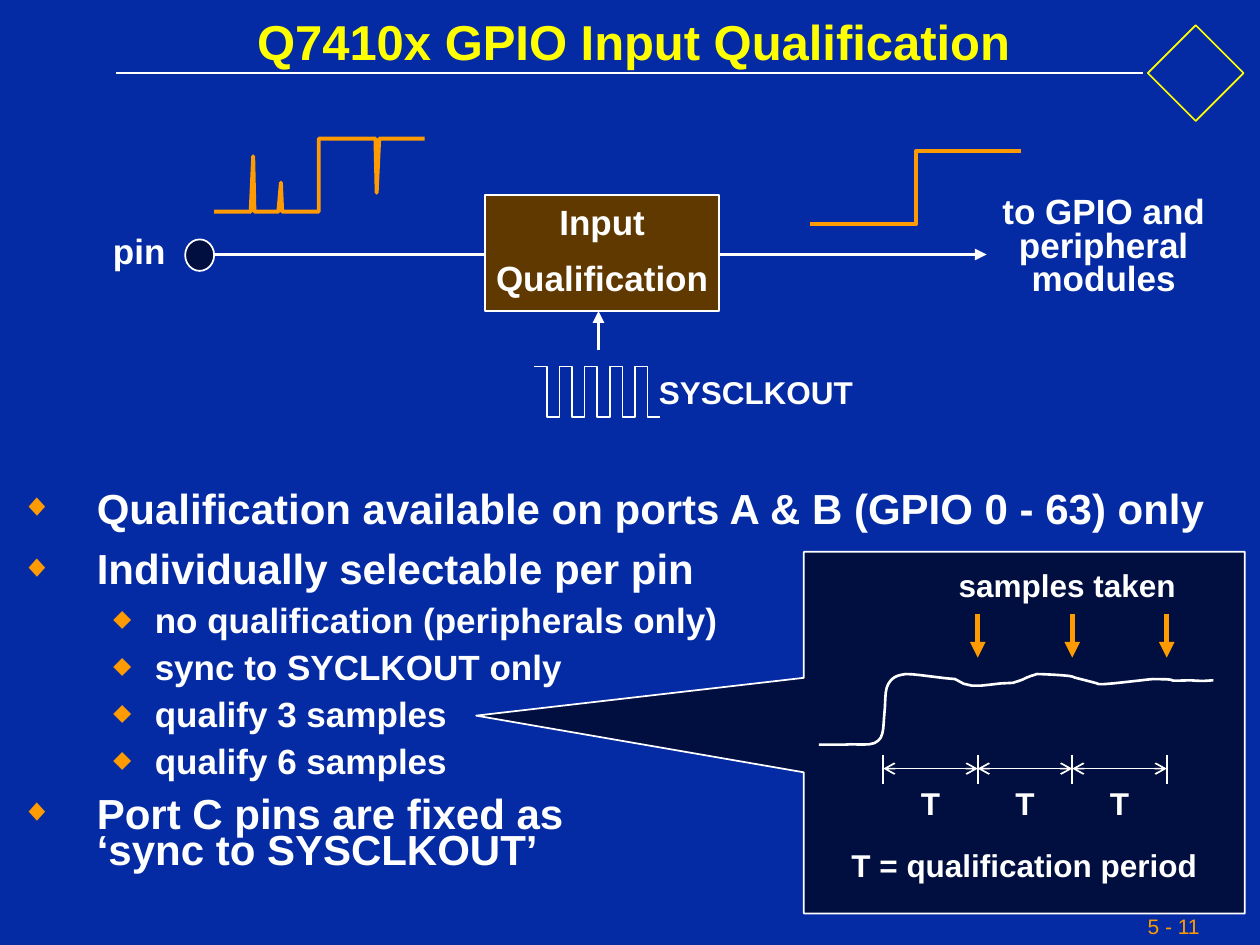
from lxml import etree
from pptx import Presentation
from pptx.dml.color import RGBColor
from pptx.enum.shapes import MSO_CONNECTOR, MSO_SHAPE
from pptx.enum.text import MSO_ANCHOR, MSO_AUTO_SIZE, PP_ALIGN
from pptx.oxml.ns import qn
from pptx.util import Inches, Pt

STRAIGHT = MSO_CONNECTOR.STRAIGHT
RECTANGLE, OVAL, DIAMOND = MSO_SHAPE.RECTANGLE, MSO_SHAPE.OVAL, MSO_SHAPE.DIAMOND
TOP, MIDDLE = MSO_ANCHOR.TOP, MSO_ANCHOR.MIDDLE
LEFT, CENTER = PP_ALIGN.LEFT, PP_ALIGN.CENTER
NO_AUTOSIZE = MSO_AUTO_SIZE.NONE

COLORS = {"background": "042AA4", "white": "FFFFFF", "yellow": "FFFF00",
          "orange": "FE9B03", "navy": "000F40", "brown": "603900"}
FONT = "Arial"


def rgb(name):
    return RGBColor.from_string(COLORS[name])


def write_text(frame, lines, size=20, color="white", bold=True, align=CENTER,
               spacing=0.8, before=12.5, wrap=False, anchor=TOP):
    frame.word_wrap = wrap
    frame.auto_size = NO_AUTOSIZE
    frame.vertical_anchor = anchor
    for number, line in enumerate(lines):
        paragraph = frame.paragraphs[0] if number == 0 else frame.add_paragraph()
        format_paragraph(paragraph, line, size, color, bold, align, spacing,
                         before if number else 0)


def format_paragraph(paragraph, words, size, color, bold, align, spacing, before):
    paragraph.text = words
    paragraph.alignment = align
    paragraph.line_spacing = spacing
    paragraph.space_before = Pt(before)
    for run in paragraph.runs:
        run.font.name, run.font.size, run.font.bold = FONT, Pt(size), bold
        run.font.color.rgb = rgb(color)


def add_text(slide, left, top, width, height, *lines, **text_format):
    box = slide.shapes.add_textbox(Inches(left), Inches(top), Inches(width), Inches(height))
    write_text(box.text_frame, lines, **text_format)
    return box


def paint(shape, fill=None, line="white", weight=1):
    shape.shadow.inherit = False
    if fill:
        shape.fill.solid()
        shape.fill.fore_color.rgb = rgb(fill)
    else:
        shape.fill.background()
    shape.line.color.rgb = rgb(line)
    shape.line.width = Pt(weight)


def add_preset(slide, kind, left, top, width, height, **colors):
    shape = slide.shapes.add_shape(kind, Inches(left), Inches(top), Inches(width), Inches(height))
    paint(shape, **colors)
    return shape


def add_line(slide, x1, y1, x2, y2, color="white", weight=1, start=None, end=None):
    line = slide.shapes.add_connector(STRAIGHT, Inches(x1), Inches(y1), Inches(x2), Inches(y2))
    line.line.color.rgb = rgb(color)
    line.line.width = Pt(weight)
    for tag, arrow in (("a:headEnd", start), ("a:tailEnd", end)):
        if arrow:
            etree.SubElement(line.line._get_or_add_ln(), qn(tag), type=arrow)
    etree.SubElement(line._element.spPr, qn("a:effectLst"))


def add_path(slide, left, top, points, close=False, **colors):
    """Draw a freeform from points relative to left and top."""
    placed = [(Inches(left + x), Inches(top + y)) for x, y in points]
    builder = slide.shapes.build_freeform(*placed[0])
    builder.add_line_segments(placed[1:], close=close)
    paint(builder.convert_to_shape(), **colors)


def bezier_points(start, curves, steps=6):
    """Flatten a chain of cubic curves into points."""
    points = [start]
    for x1, y1, x2, y2, x3, y3 in curves:
        x0, y0 = points[-1]
        for step in range(1, steps + 1):
            t = step / steps
            a, b, c, d = (1 - t) ** 3, 3 * t * (1 - t) ** 2, 3 * t * t * (1 - t), t ** 3
            points.append((a * x0 + b * x1 + c * x2 + d * x3,
                           a * y0 + b * y1 + c * y2 + d * y3))
    return points


def add_header(slide, left, top):
    title = slide.shapes.title
    title.left, title.top = Inches(left + 1.02), Inches(top + 0.13)
    title.width, title.height = Inches(6.9), Inches(0.48)
    write_text(title.text_frame, ["Q7410x GPIO Input Qualification"],
               size=28, color="yellow", align=LEFT)
    add_line(slide, left, top + 0.58, left + 8.15, top + 0.58)
    add_preset(slide, DIAMOND, left + 8.19, top + 0.2, 0.76, 0.76, line="yellow")


def add_signal_chain(slide, left, top):
    wire = top + 0.92
    add_line(slide, left + 0.78, wire, left + 3.28, wire, weight=2.25)
    add_preset(slide, OVAL, left + 0.67, top + 0.8, 0.23, 0.25, fill="navy")
    add_line(slide, left + 4.87, wire, left + 7.03, wire, weight=2.25, end="triangle")
    block = add_preset(slide, RECTANGLE, left + 3.05, top + 0.45, 1.86, 0.92, fill="brown")
    write_text(block.text_frame, ["Input", "Qualification"], anchor=MIDDLE)
    add_text(slide, left, top + 0.74, 0.61, 0.37, "pin")
    add_text(slide, left + 7.03, top + 0.42, 1.86, 0.9,
             "to GPIO and peripheral modules", wrap=True)

    noisy = [(0, 0.58), (0.29, 0.58), (0.31, 0.14), (0.32, 0.58), (0.51, 0.58),
             (0.53, 0.35), (0.54, 0.58), (0.83, 0.58), (0.83, 0), (1.28, 0),
             (1.29, 0.43), (1.31, 0), (1.67, 0)]
    clean = [(0, 0.58), (0.84, 0.58), (0.84, 0), (1.67, 0)]
    add_path(slide, left + 0.9, top, noisy, line="orange", weight=2.25)
    add_path(slide, left + 5.63, top + 0.1, clean, line="orange", weight=2.25)
    add_clock(slide, left + 3.44, top + 1.37)


def add_clock(slide, left, top, pulse=0.1, height=0.4, pulses=10):
    wave = [(pulse * (step + side), height * (step % 2))
            for step in range(pulses) for side in (0, 1)]
    add_path(slide, left, top + 0.44, wave)
    add_line(slide, left + 0.51, top + 0.31, left + 0.51, top, weight=2.25, end="triangle")
    add_text(slide, left + 0.89, top + 0.5, 1.74, 0.34, "SYSCLKOUT", size=18)


def add_bullets(slide, left, top, width, height):
    main = {"margin": 0.6, "hang": 0.6, "mark": "◆", "size": 24, "before": 12}
    sub = {"margin": 1.06, "hang": 0.33, "mark": "⬥", "size": 20, "before": 10}
    items = [
        (main, 0.7, "Qualification available on ports A & B (GPIO 0 - 63) only"),
        (main, 0.8, "Individually selectable per pin"),
        (sub, 0.7, "no qualification (peripherals only)"),
        (sub, 0.7, "sync to SYCLKOUT only"),
        (sub, 0.7, "qualify 3 samples"),
        (sub, 0.7, "qualify 6 samples"),
        (main, 0.7, "Port C pins are fixed as\v‘sync to SYSCLKOUT’"),
    ]
    frame = add_text(slide, left, top, width, height, wrap=True).text_frame
    for number, (style, spacing, words) in enumerate(items):
        paragraph = frame.add_paragraph() if number else frame.paragraphs[0]
        paragraph.level = 1 if style is sub else 0
        set_bullet(paragraph, style)
        format_paragraph(paragraph, words, style["size"], "white", True, LEFT,
                         spacing, style["before"] if number else 0)


def set_bullet(paragraph, style):
    properties = paragraph._p.get_or_add_pPr()
    properties.set("marL", str(Inches(style["margin"])))
    properties.set("indent", str(-Inches(style["hang"])))
    color = etree.SubElement(properties, qn("a:buClr"))
    etree.SubElement(color, qn("a:srgbClr"), val=COLORS["orange"])
    etree.SubElement(properties, qn("a:buSzPct"), val="75000")
    etree.SubElement(properties, qn("a:buFont"), typeface=FONT)
    etree.SubElement(properties, qn("a:buChar"), char=style["mark"])


def add_sampling_callout(slide, left, top, width, height):
    outline = [(-2.6, 1.3), (0, 1), (0, 0), (width, 0), (width, height), (0, height), (0, 1.75)]
    add_path(slide, left, top, outline, close=True, fill="navy")
    curves = [
        (0.04, 0.56, 0.13, 0.56, 0.21, 0.56), (0.29, 0.55, 0.42, 0.58, 0.47, 0.53),
        (0.52, 0.49, 0.51, 0.39, 0.52, 0.31), (0.53, 0.23, 0.52, 0.13, 0.55, 0.08),
        (0.58, 0.03, 0.61, 0.01, 0.69, 0), (0.78, 0, 0.94, 0.03, 1.08, 0.04),
        (1.22, 0.14, 1.33, 0.07, 1.54, 0.07), (1.67, 0.03, 1.6, 0.04, 1.73, 0),
        (1.76, 0, 1.99, 0.01, 2.01, 0.02), (2.02, 0.03, 2.21, 0.07, 2.22, 0.08),
        (2.24, 0.09, 2.63, 0.04, 2.65, 0.04), (2.94, 0.04, 2.66, 0.06, 2.95, 0.05),
        (3.06, 0.06, 3.1, 0.05, 3.13, 0.05)]
    add_path(slide, left + 0.12, top + 0.97, bezier_points((0, 0.56), curves), weight=1.5)

    period, periods, first = 0.75, 3, left + 0.63
    for number in range(periods + 1):
        tick = first + number * period
        add_line(slide, tick, top + 1.61, tick, top + 1.84)
        if number:
            before = tick - period
            add_line(slide, before, top + 1.72, tick, top + 1.72, start="arrow", end="arrow")
            add_line(slide, tick, top + 0.49, tick, top + 0.84,
                     color="orange", weight=3, end="triangle")
            add_text(slide, before + 0.2, top + 1.85, 0.35, 0.34, "T", size=18)
    add_text(slide, left + 1.13, top + 0.12, 1.92, 0.34, "samples taken", size=18)
    add_text(slide, left + 0.28, top + 2.34, 2.94, 0.34, "T = qualification period", size=18)


def main():
    deck = Presentation()
    deck.slide_width, deck.slide_height = Inches(10), Inches(7.5)
    slide = deck.slides.add_slide(deck.slide_layouts[5])
    slide.background.fill.solid()
    slide.background.fill.fore_color.rgb = rgb("background")

    add_header(slide, 0.92, 0)
    add_bullets(slide, 0.07, 3.89, 9.88, 3.48)
    add_sampling_callout(slide, 6.38, 4.38, 3.5, 2.87)
    add_signal_chain(slide, 0.8, 1.1)
    add_text(slide, 9.01, 7.2, 1.2, 0.3, "5 - 11", size=12, color="orange",
             bold=False, align=LEFT, spacing=1)
    deck.save("out.pptx")


if __name__ == "__main__":
    main()
